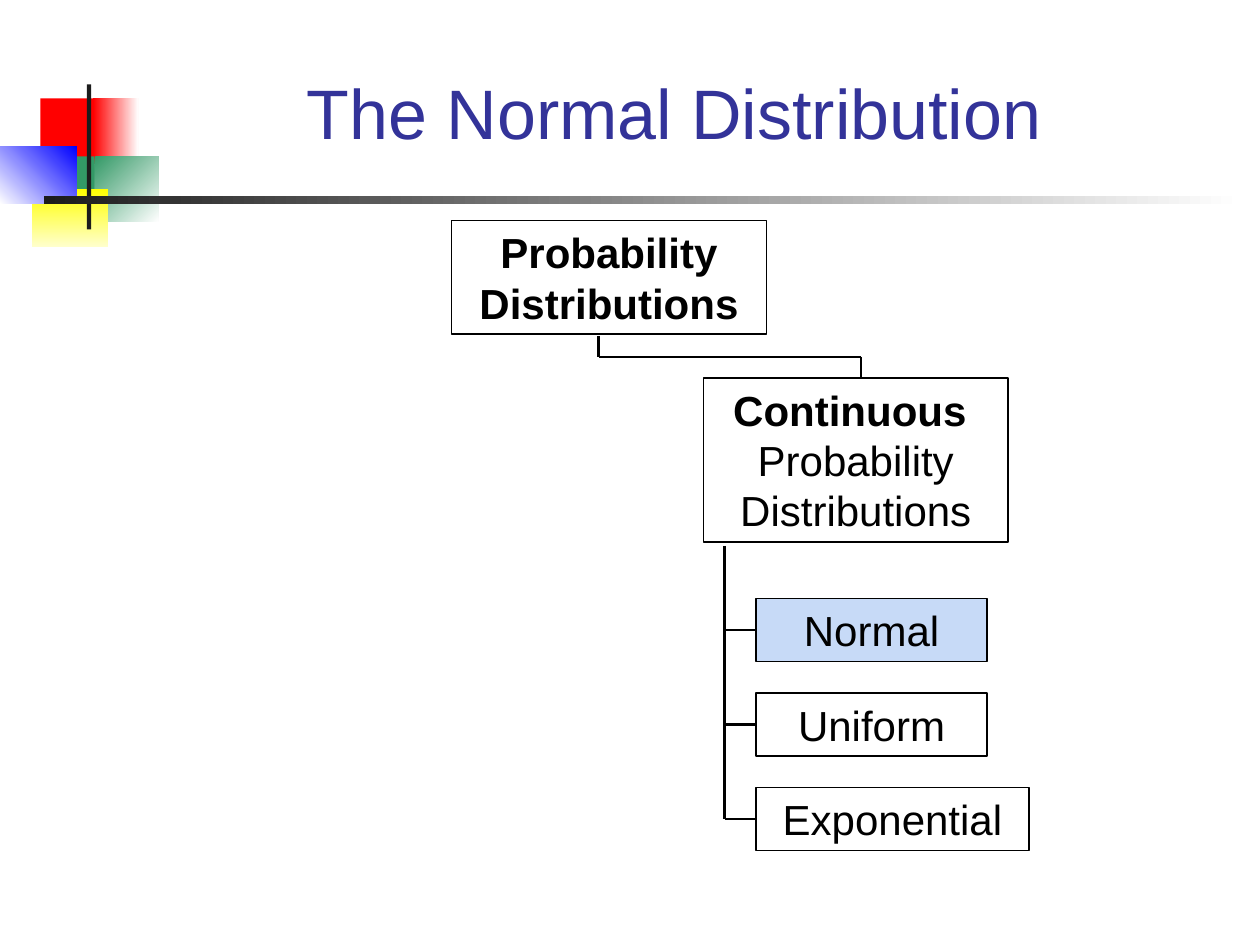
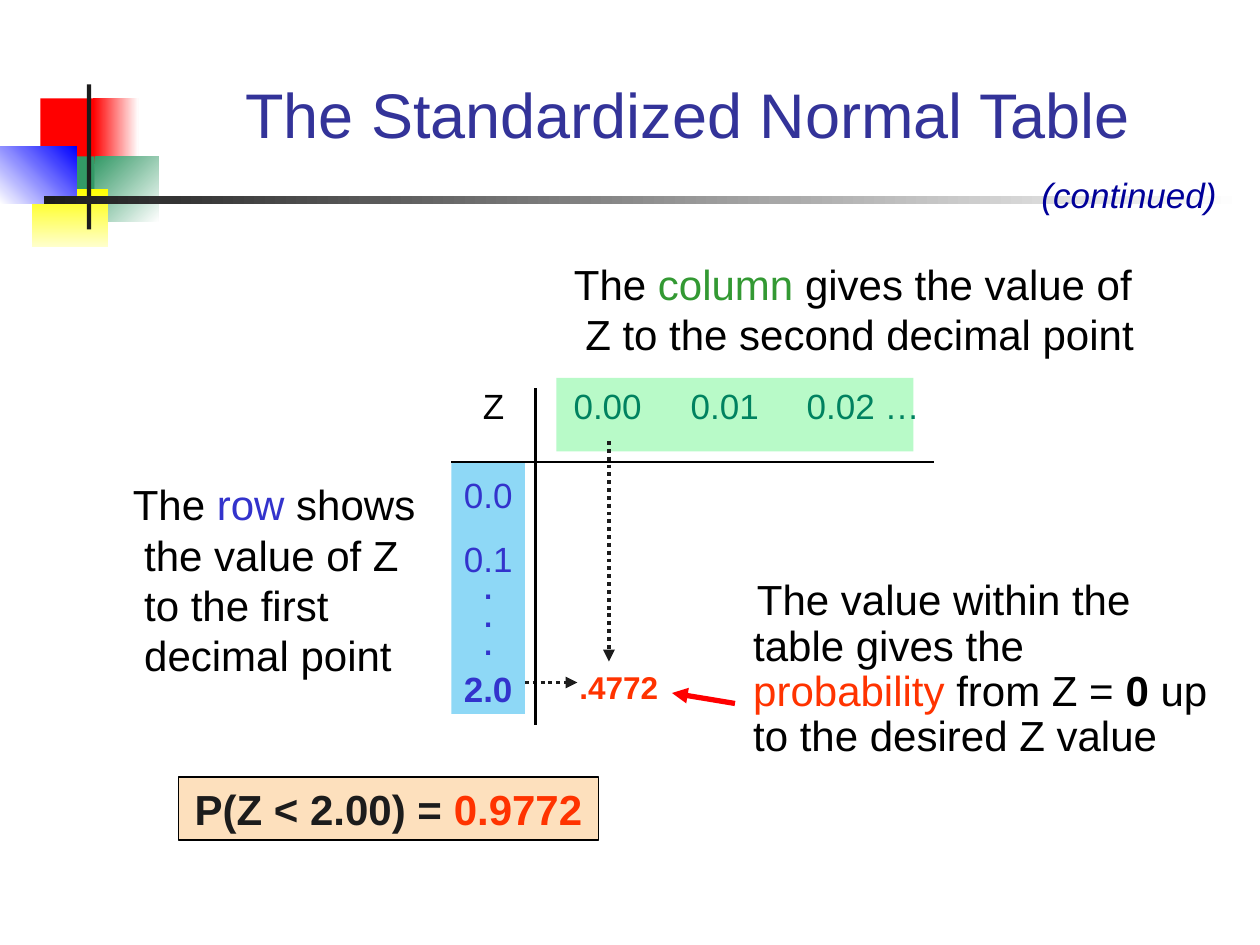
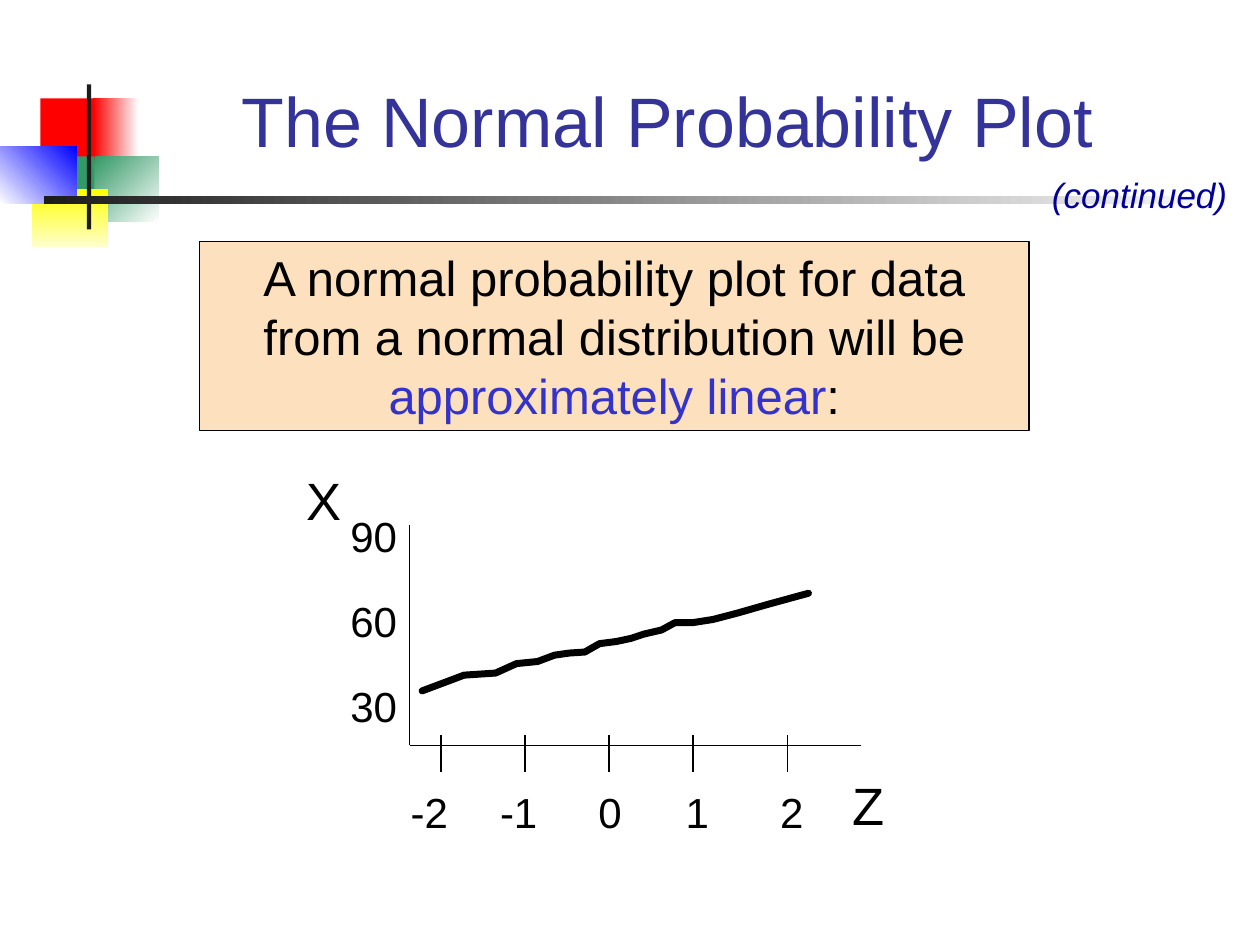
from dataclasses import dataclass
from typing import NamedTuple, Optional

from lxml import etree
from pptx import Presentation
from pptx import util as u
from pptx.dml.color import RGBColor
from pptx.enum import dml, shapes, text
from pptx.oxml import ns

COLUMNS, ROWS = 120, 90
CELL = u.Inches(10) // COLUMNS
FONT = "Arial"
COLORS = {
    "title": "333399", "note": "000099", "black": "000000", "white": "FFFFFF",
    "ink": "1C1C1C", "red": "FF0000", "green": "339966", "yellow": "FFFF00",
    "cream": "FFFFCC", "blue": "0000FF", "orange": "FF3300", "row": "3333CC",
    "column": "339933", "digits": "008260", "peach": "FDE0BD", "pale blue": "C7DAF7",
    "mint": "B8FAC8", "sky": "8ED8F6",
}
CENTER = {"alignment": text.PP_ALIGN.CENTER}
RIGHT = {"alignment": text.PP_ALIGN.RIGHT}


class Area(NamedTuple):
    """A rectangle in grid columns and rows."""
    left: float
    top: float
    width: float
    height: float


class Tile(NamedTuple):
    """A plain or two-colour rectangle of the shared decoration."""
    area: Area
    start: str
    end: Optional[str] = None
    angle: int = 0


class Run(NamedTuple):
    """A stretch of text with its colour and font values."""
    words: str
    color: str = "black"
    font: dict = {}


class Para(NamedTuple):
    """A paragraph with its format, hanging indent and tab stops in inches."""
    runs: list
    fmt: dict = {}
    margin: float = 0
    indent: float = 0
    tabs: tuple = ()


@dataclass
class Box:
    """A rectangle or text box with paragraphs."""
    area: Area
    paras: list
    size: int = 24
    fill: Optional[str] = None
    line: Optional[float] = None


@dataclass
class Line:
    """A straight line between two grid points."""
    start: tuple
    end: tuple
    width: float = 1.5
    color: str = "black"
    arrow: bool = False
    dotted: bool = False


class Tick(NamedTuple):
    """A mark on the Z axis and the centre of its label."""
    label: str
    mark: float
    center: float


class Title(NamedTuple):
    """A slide title with its place and size."""
    words: str
    area: Area
    size: int = 40
    anchor: text.MSO_ANCHOR = text.MSO_ANCHOR.BOTTOM


TILES = [
    Tile(Area(3.84, 9.36, 5.76, 6.24), "red"),
    Tile(Area(8.88, 9.36, 4.32, 6.24), "red", "white"),
    Tile(Area(9, 14.88, 6.12, 6.24), "green", "white", 45),
    Tile(Area(5.16, 14.88, 3.84, 6.24), "green"),
    Tile(Area(3, 18, 7.32, 5.52), "yellow", "cream", 90),
    Tile(Area(0, 13.92, 7.32, 5.52), "white", "blue", 315),
    Tile(Area(8.28, 8.04, 0.4, 13.8), "ink"),
    Tile(Area(4.2, 18.72, 114.12, 0.72), "ink", "white"),
]

PLOT = [
    (40.2, 65.8), (44.2, 64.3), (47.2, 64.1), (49.2, 63.2), (51.2, 63), (52.8, 62.4),
    (54.2, 62.2), (55.7, 62.1), (57.1, 61.3), (58.7, 61.1), (60.1, 60.8), (61.3, 60.4),
    (63, 60), (64.3, 59.3), (66, 59.3), (67.9, 59), (70.2, 58.4), (73, 57.6), (77, 56.5),
]
TICKS = [Tick("-2", 42, 40.9), Tick("-1", 50, 49.4), Tick("0", 58, 58.1),
         Tick("1", 66, 66.4), Tick("2", 75, 75.4)]


def rgb(name: str) -> RGBColor:
    """Look up a named colour."""
    return RGBColor.from_string(COLORS[name])


def emu(cells) -> list:
    """Turn grid lengths into slide lengths."""
    return [u.Emu(round(c * CELL)) for c in cells]


def apply(target, values: dict) -> None:
    """Set each attribute named in the dict."""
    for name, value in values.items():
        setattr(target, name, value)


def write(tf, paras: list, size: int) -> None:
    """Fill a text frame with formatted paragraphs."""
    for i, para in enumerate(paras):
        p = tf.paragraphs[0] if i == 0 else tf.add_paragraph()
        apply(p, para.fmt)
        for words, color, font in para.runs:
            r = p.add_run()
            r.text = words
            apply(r.font, {"name": FONT, "size": u.Pt(size), **font})
            r.font.color.rgb = rgb(color)
        if para.margin:
            pr = p._p.get_or_add_pPr()
            pr.set("marL", str(u.Inches(para.margin)))
            pr.set("indent", str(u.Inches(para.indent)))
        if para.tabs:
            stops = etree.SubElement(p._p.get_or_add_pPr(), ns.qn("a:tabLst"))
            for stop in para.tabs:
                etree.SubElement(stops, ns.qn("a:tab"), pos=str(u.Inches(stop)), algn="l")


def add_rect(s, area: Area):
    """Add a rectangle without shadow or outline."""
    sp = s.shapes.add_shape(shapes.MSO_SHAPE.RECTANGLE, *emu(area))
    sp.shadow.inherit = False
    sp.line.fill.background()
    return sp


def paint(fill, color: Optional[str]) -> None:
    """Fill with one colour, or leave empty."""
    if color is None:
        fill.background()
    else:
        fill.solid()
        fill.fore_color.rgb = rgb(color)


def add_box(s, box: Box):
    """Draw a box with its text."""
    if box.fill or box.line:
        sp = add_rect(s, box.area)
        paint(sp.fill, box.fill)
    else:
        sp = s.shapes.add_textbox(*emu(box.area))
    if box.line:
        sp.line.color.rgb = rgb("black")
        sp.line.width = u.Pt(box.line)
    apply(sp.text_frame, {"word_wrap": True, "vertical_anchor": text.MSO_ANCHOR.TOP})
    write(sp.text_frame, box.paras, box.size)
    return sp


def add_line(s, line: Line):
    """Draw a straight connector."""
    sp = s.shapes.add_connector(shapes.MSO_CONNECTOR.STRAIGHT, *emu(line.start + line.end))
    sp.line.color.rgb = rgb(line.color)
    sp.line.width = u.Pt(line.width)
    if line.dotted:
        sp.line.dash_style = dml.MSO_LINE.ROUND_DOT
    pr = sp.element.spPr
    if line.arrow:
        etree.SubElement(pr.find(ns.qn("a:ln")), ns.qn("a:tailEnd"), type="triangle")
    etree.SubElement(pr, ns.qn("a:effectLst"))
    return sp


def decorate_master(prs, s) -> None:
    """Draw the shared squares and bars, and hand them to the slide master."""
    for number, tile in enumerate(TILES, 100):
        sp = add_rect(s, tile.area)
        if tile.end:
            sp.fill.gradient()
            sp.fill.gradient_angle = (360 - tile.angle) % 360
            for stop, color in zip(sp.fill.gradient_stops, (tile.start, tile.end)):
                stop.color.rgb = rgb(color)
        else:
            paint(sp.fill, tile.start)
        sp.element.xpath(".//p:cNvPr")[0].set("id", str(number))
        prs.slide_master.shapes.element.append(sp.element)


def add_slide(prs, title: Title):
    """Add a title-only slide and format its title."""
    s = prs.slides.add_slide(prs.slide_layouts[5])
    sp = s.shapes.title
    apply(sp, dict(zip(("left", "top", "width", "height"), emu(title.area))))
    apply(sp.text_frame, {"word_wrap": True, "vertical_anchor": title.anchor,
                          "auto_size": text.MSO_AUTO_SIZE.NONE})
    write(sp.text_frame, [Para([Run(title.words, "title")], CENTER)], title.size)
    return s


def add_continued(s, left: float, width: float) -> None:
    """Add the continuation note at the right of the title bar."""
    note = Run("(continued)", "note", {"italic": True})
    add_box(s, Box(Area(left, 15.9, width, 5.3), [Para([note])], 20))


def distribution_slide(prs) -> None:
    """Build the tree of distributions."""
    s = add_slide(prs, Title("The Normal Distribution", Area(18, 6, 92.4, 9.12),
                             anchor=text.MSO_ANCHOR.TOP))
    decorate_master(prs, s)
    bold = {"bold": True}
    root = [Para([Run("Probability Distributions", font=bold)], CENTER)]
    branch = [Para([Run("Continuous ", font=bold)], CENTER),
              Para([Run("Probability Distributions")], CENTER)]
    add_box(s, Box(Area(43, 21, 30, 10.8), root, line=1))
    add_box(s, Box(Area(67, 36, 29, 15.6), branch, line=1))
    for start, end in [((57, 32), (57, 34)), ((57, 34), (82, 34)),
                       ((82, 34), (82, 36)), ((69, 52), (69, 78))]:
        add_line(s, Line(start, end))
    leaves = [("Normal", 22, "pale blue"), ("Uniform", 22, None), ("Exponential", 26, None)]
    for i, (name, width, fill) in enumerate(leaves):
        top = 57 + 9 * i
        leaf = add_box(s, Box(Area(72, top, width, 6), [Para([Run(name)], CENTER)],
                              fill=fill, line=1))
        add_line(s, Line((72, top + 3), (69, top + 3))).begin_connect(leaf, 1)


def table_slide(prs) -> None:
    """Build the guide to reading the standardized normal table."""
    s = add_slide(prs, Title("The Standardized Normal Table", Area(19, 4, 93, 11), 36))
    add_continued(s, 98, 20)
    bold = {"bold": True}
    for area, color in [(Area(53, 36, 34, 7), "mint"), (Area(43, 44, 7, 24), "sky")]:
        paint(add_rect(s, area).fill, color)

    column = [Run("The "), Run("column ", "column"),
              Run("gives the value of Z to the second decimal point")]
    row = [Run("The "), Run("row ", "row"),
           Run("shows the value of Z to the first decimal point")]
    value = [Run("The value within the table gives the "), Run("probability ", "orange"),
             Run("from Z = "), Run("0", font=bold), Run(" up to the desired Z value")]
    header = [Run("\tZ"), Run("\t0.00\t0.01\t0.02 …", "digits")]
    dot = Para([Run(".", "row")], {**CENTER, "line_spacing": 0.4, "space_before": u.Pt(4.5)})
    formula = [Run("P(Z < 2.00) =", "ink", bold), Run(" 0.9772", "orange", bold)]
    grid = [Para(header, tabs=(0.15, 0.87, 1.8, 2.72)),
            Para([Run("0.0", "row")], {"space_before": u.Pt(27)}),
            Para([Run("0.1", "row")], {"space_before": u.Pt(12.5)})]
    for box in [
        Box(Area(47, 24, 63, 13), [Para(column, margin=0.63, indent=-0.09)]),
        Box(Area(5, 45, 37, 22), [Para(row, margin=0.63, indent=-0.09)]),
        Box(Area(63, 54.6, 54, 24), [Para(value, {"line_spacing": 0.9}, 0.63, 0.03)]),
        Box(Area(43, 36, 52, 19.8), grid, 20),
        Box(Area(44, 55, 5, 8.5), [dot] * 3),
        Box(Area(41, 63, 11, 5.3), [Para([Run("2.0", "row", bold)], CENTER)], 20),
        Box(Area(54, 63, 13, 4.8), [Para([Run(".4772", "orange", bold)])], 18),
        Box(Area(17, 74, 40, 6), [Para(formula)], fill="peach", line=0.75),
    ]:
        add_box(s, box)
    for line in [
        Line((70, 67), (64, 66), 3, "red", arrow=True),
        Line((58, 42), (58, 63), 2.25, "ink", arrow=True, dotted=True),
        Line((50, 65), (55, 65), 2.25, "ink", arrow=True, dotted=True),
        Line((51, 37), (51, 69)),
        Line((43, 44), (89, 44)),
    ]:
        add_line(s, line)


def plot_slide(prs) -> None:
    """Build the normal probability plot."""
    s = add_slide(prs, Title("The Normal Probability Plot", Area(15.12, 3, 96.84, 12.96)))
    add_continued(s, 99, 21)
    claim = [Run("A normal probability plot for data from a normal distribution will be "),
             Run("approximately linear", "row"), Run(":")]
    add_box(s, Box(Area(19, 23, 79, 18), [Para(claim, CENTER)], 28, "peach", 1))

    for end in [(82, 71), (39, 50)]:
        add_line(s, Line((39, 71), end, 1))
    for tick in TICKS:
        add_line(s, Line((tick.mark, 73.5), (tick.mark, 70), 1))
        add_box(s, Box(Area(tick.center - 3.5, 74.3, 7, 6),
                       [Para([Run(tick.label)], CENTER)]))
    for i, label in enumerate(("90", "60", "30")):
        add_box(s, Box(Area(31, 48 + 8.1 * i, 8, 6), [Para([Run(label)], RIGHT)]))
    for name, left, top in [("X", 28, 44), ("Z", 80, 73)]:
        add_box(s, Box(Area(left, top, 6.5, 7.2), [Para([Run(name)])], 30))

    points = [(x * 10, y * 10) for x, y in PLOT]
    builder = s.shapes.build_freeform(*points[0], scale=CELL / 10)
    builder.add_line_segments(points[1:], close=False)
    sp = builder.convert_to_shape()
    sp.shadow.inherit = False
    paint(sp.fill, None)
    sp.line.color.rgb = rgb("black")
    sp.line.width = u.Pt(4)
    sp.element.spPr.find(ns.qn("a:ln")).set("cap", "rnd")


def main() -> None:
    """Build and save the slides."""
    prs = Presentation()
    prs.slide_width, prs.slide_height = emu((COLUMNS, ROWS))
    for build in (distribution_slide, table_slide, plot_slide):
        build(prs)
    prs.save("out.pptx")


if __name__ == "__main__":
    main()
